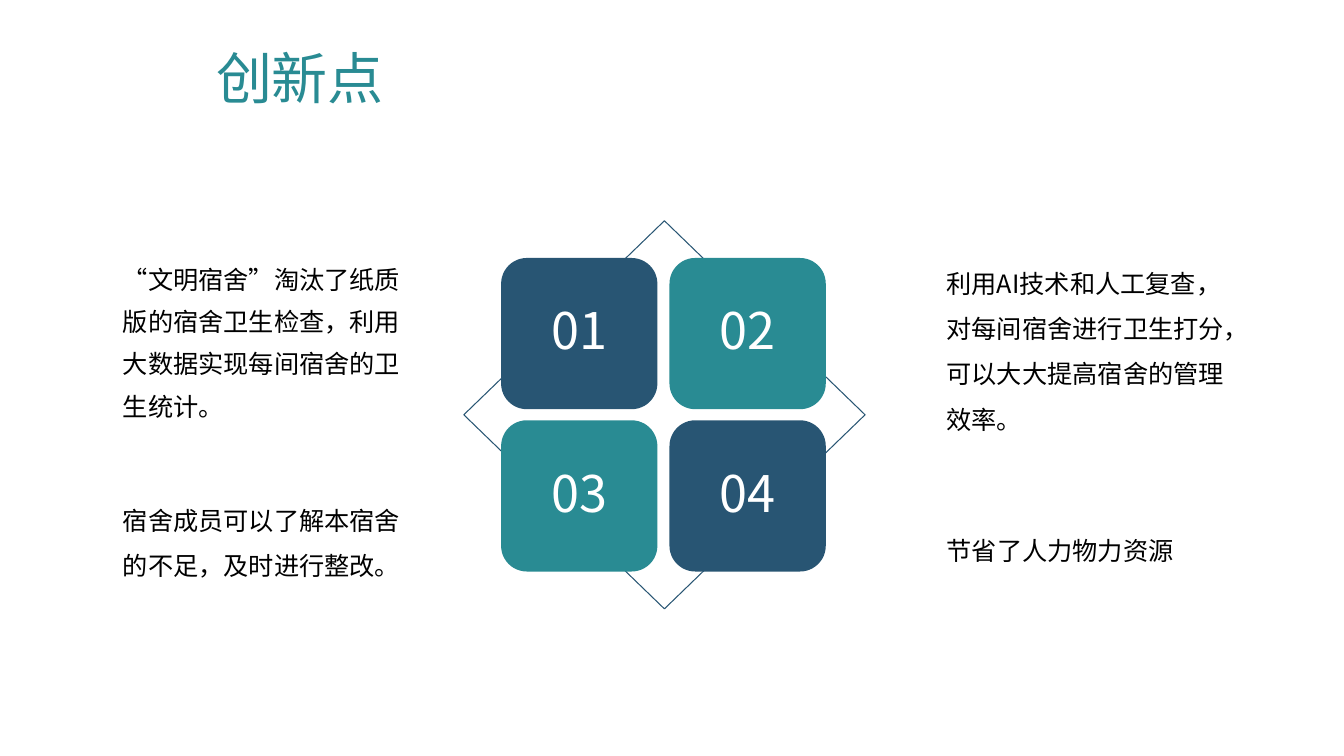
from lxml import etree
from pptx import Presentation
from pptx.dml.color import RGBColor
from pptx.enum.lang import MSO_LANGUAGE_ID
from pptx.enum.shapes import MSO_SHAPE
from pptx.enum.text import MSO_ANCHOR, MSO_AUTO_SIZE, PP_ALIGN
from pptx.oxml.ns import qn
from pptx.util import Inches, Pt

DIAMOND = MSO_SHAPE.DIAMOND
ROUNDED = MSO_SHAPE.ROUNDED_RECTANGLE
CENTER, LEFT = PP_ALIGN.CENTER, PP_ALIGN.LEFT
TOP, MIDDLE = MSO_ANCHOR.TOP, MSO_ANCHOR.MIDDLE
NO_AUTOFIT = MSO_AUTO_SIZE.NONE
CHINESE = MSO_LANGUAGE_ID.SIMPLIFIED_CHINESE

COLORS = {"navy": "285573", "teal": "298B93", "white": "FFFFFF", "black": "000000"}
HEADING_FONT = "Noto Sans CJK JP"
BODY_FONT = "Noto Sans CJK SC"

# Tile grid: first corner, size, and step from one tile to the next
GRID_LEFT, GRID_TOP = 4.97, 2.56
TILE_WIDTH, TILE_HEIGHT = 1.55, 1.5
STEP_X, STEP_Y = 1.67, 1.61
TILE_INSET = 0.33
CORNER = 0.17

# Left, top, width, height, line spacing, wording
POINTS = [
    (1.12, 2.45, 3.03, 1.79, 1.4,
     "“文明宿舍”淘汰了纸质版的宿舍卫生检查，利用大数据实现每间宿舍的卫生统计。"),
    (9.29, 2.46, 3.03, 1.92, 1.5,
     "利用AI技术和人工复查，对每间宿舍进行卫生打分，可以大大提高宿舍的管理效率。"),
    (1.12, 4.81, 3.03, 1.01, 1.5, "宿舍成员可以了解本宿舍的不足，及时进行整改。"),
    (9.29, 4.81, 2.48, 0.86, 2.5, "节省了人力物力资源"),
]


def rgb(name):
    return RGBColor.from_string(COLORS[name])


def write(frame, wording, size, font_name, color, align=LEFT, spacing=1.0):
    """Fill a text frame with one formatted paragraph."""
    paragraph = frame.paragraphs[0]
    paragraph.alignment = align
    paragraph.line_spacing = spacing
    run = paragraph.add_run()
    run.text = wording
    font = run.font
    formats = {"size": Pt(size), "bold": False, "name": font_name,
               "language_id": CHINESE}
    for key, value in formats.items():
        setattr(font, key, value)
    font.color.rgb = rgb(color)
    # East Asian typeface follows the Latin one
    latin = run._r.rPr.find(qn("a:latin"))
    east_asian = etree.Element(qn("a:ea"), typeface=font_name)
    latin.addnext(east_asian)


def place_title(slide, wording):
    title = slide.shapes.title
    box = {"left": 2.04, "top": 0.38, "width": 1.87, "height": 0.77}
    for key, value in box.items():
        setattr(title, key, Inches(value))
    frame = title.text_frame
    formats = {"word_wrap": False, "auto_size": NO_AUTOFIT, "vertical_anchor": TOP}
    for key, value in formats.items():
        setattr(frame, key, value)
    write(frame, wording, 40, HEADING_FONT, "teal", CENTER)


def add_diamond(emblem):
    diamond = emblem.shapes.add_shape(
        DIAMOND, Inches(4.6), Inches(2.19), Inches(3.98), Inches(3.85))
    diamond.shadow.inherit = False
    diamond.fill.background()
    diamond.line.color.rgb = rgb("navy")
    diamond.line.width = Pt(0.75)


def add_tile(emblem, index):
    row, column = divmod(index, 2)
    tile = emblem.shapes.add_shape(
        ROUNDED,
        Inches(GRID_LEFT + column * STEP_X), Inches(GRID_TOP + row * STEP_Y),
        Inches(TILE_WIDTH), Inches(TILE_HEIGHT))
    tile.adjustments[0] = CORNER
    tile.shadow.inherit = False
    tile.fill.solid()
    tile.fill.fore_color.rgb = rgb("navy" if row == column else "teal")
    tile.line.fill.background()
    frame = tile.text_frame
    frame.vertical_anchor = MIDDLE
    for side in ("left", "top", "right", "bottom"):
        setattr(frame, f"margin_{side}", Inches(TILE_INSET))
    write(frame, f"{index + 1:02}", 36, HEADING_FONT, "white", CENTER, 0.9)


def add_point(slide, left, top, width, height, spacing, wording):
    point = slide.shapes.add_textbox(
        Inches(left), Inches(top), Inches(width), Inches(height))
    point.text_frame.word_wrap = True
    write(point.text_frame, wording, 18, BODY_FONT, "black", spacing=spacing)


def main():
    deck = Presentation()
    deck.slide_width, deck.slide_height = Inches(13.33), Inches(7.5)
    slide = deck.slides.add_slide(deck.slide_layouts.get_by_name("Title Only"))

    # Heading
    place_title(slide, "创新点")

    # Numbered tiles over the diamond
    emblem = slide.shapes.add_group_shape()
    add_diamond(emblem)
    for index in range(len(POINTS)):
        add_tile(emblem, index)

    # Explanations beside the tiles
    for point in POINTS:
        add_point(slide, *point)

    deck.save("out.pptx")


if __name__ == "__main__":
    main()
